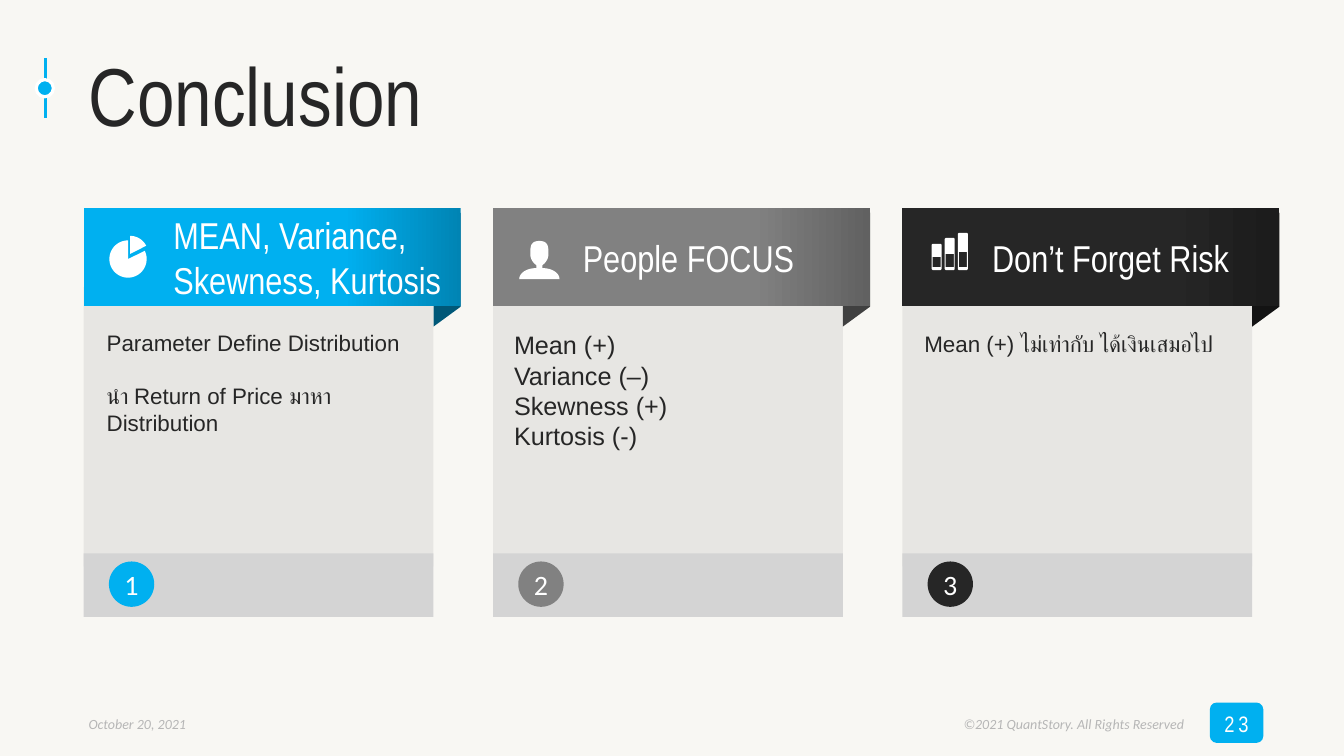
import math
from lxml import etree
from pptx import Presentation
from pptx.dml.color import RGBColor
from pptx.enum import shapes, text
from pptx.oxml import ns
from pptx.util import Inches, Pt

PAPER = RGBColor(0xF8, 0xF7, 0xF3)
WHITE = RGBColor(0xFF, 0xFF, 0xFF)
INK = RGBColor(0x26, 0x26, 0x26)
BLUE = RGBColor(0x00, 0xB0, 0xF0)
BLUE_SHADE = RGBColor(0x00, 0x84, 0xB4)
BLUE_FOLD = RGBColor(0x00, 0x58, 0x78)
GREY = RGBColor(0x81, 0x81, 0x81)
GREY_SHADE = RGBColor(0x61, 0x61, 0x61)
GREY_FOLD = RGBColor(0x40, 0x40, 0x40)
INK_SHADE = RGBColor(0x1C, 0x1C, 0x1C)
INK_FOLD = RGBColor(0x13, 0x13, 0x13)
PANEL = RGBColor(0xA6, 0xA6, 0xA6)
STRIP = RGBColor(0xD4, 0xD4, 0xD4)
FOOTER = RGBColor(0xB6, 0xB6, 0xB6)

SHAPE = shapes.MSO_SHAPE
LEFT, CENTER, RIGHT = text.PP_ALIGN.LEFT, text.PP_ALIGN.CENTER, text.PP_ALIGN.RIGHT
MIDDLE, TOP = text.MSO_ANCHOR.MIDDLE, text.MSO_ANCHOR.TOP
GROW, FIXED = text.MSO_AUTO_SIZE.SHAPE_TO_FIT_TEXT, text.MSO_AUTO_SIZE.NONE


def add_block(page, kind, box, colour):
    shape = page.shapes.add_shape(kind, *map(Inches, box))
    shape.shadow.inherit = False
    shape.fill.solid()
    shape.fill.fore_color.rgb = colour
    shape.line.fill.background()
    return shape


def write(shape, lines, name, size, colour, align=LEFT, anchor=TOP, insets=(0.1, 0.05, 0.1, 0.05),
          fit=FIXED, italic=False, gap=0):
    frame = shape.text_frame
    sides = ("margin_left", "margin_top", "margin_right", "margin_bottom")
    settings = dict(zip(sides, map(Inches, insets)), word_wrap=True, auto_size=fit, vertical_anchor=anchor)
    for key, value in settings.items():
        setattr(frame, key, value)
    for index, line in enumerate(lines):
        para = frame.add_paragraph() if index else frame.paragraphs[0]
        para.alignment = align
        para.space_before = Pt(gap if index else 0)
        span = para.add_run()
        span.text = line
        for key, value in {"name": name, "size": Pt(size), "italic": italic}.items():
            setattr(span.font, key, value)
        span.font.color.rgb = colour
    return span


def add_text(page, box, lines, *look, **options):
    shape = page.shapes.add_textbox(*map(Inches, box))
    return write(shape, lines, *look, fit=GROW, **options)


def add_outline(page, contours):
    start, *_ = contours[0]
    builder = page.shapes.build_freeform(*map(Inches, start))
    for index, contour in enumerate(contours):
        if index:
            builder.move_to(*map(Inches, contour[0]))
        builder.add_line_segments([tuple(map(Inches, point)) for point in contour[1:]], close=True)
    shape = builder.convert_to_shape()
    shape.shadow.inherit = False
    shape.fill.solid()
    shape.fill.fore_color.rgb = WHITE
    shape.line.fill.background()


def arc(x, y, radius, start, end, steps=48):
    angles = [math.radians(start + (end - start) * step / steps) for step in range(steps + 1)]
    return [(x + radius * math.cos(angle), y + radius * math.sin(angle)) for angle in angles]


def curve(*points, steps=12):
    weights = (1, 3, 3, 1)
    return [tuple(sum(weights[k] * (1 - t) ** (3 - k) * t ** k * points[k][axis] for k in range(4))
                  for axis in (0, 1))
            for t in (step / steps for step in range(steps + 1))]


def pie_icon(page, left, top):
    add_outline(page, [
        [(left + 0.19, top + 0.23)] + arc(left + 0.19, top + 0.23, 0.185, -26, 270),
        [(left + 0.21, top + 0.18)] + arc(left + 0.21, top + 0.18, 0.18, -90, -27)])


def person_icon(page, left, top):
    half = (curve((0, 0), (0.09, 0), (0.09, 0.06), (0.09, 0.13))
            + curve((0.09, 0.13), (0.09, 0.18), (0.06, 0.22), (0.03, 0.24))
            + curve((0.03, 0.27), (0.13, 0.27), (0.2, 0.32), (0.2, 0.38)))
    middle = left + 0.21
    add_outline(page, [[(middle + x, top + y) for x, y in half]
                       + [(middle - x, top + y) for x, y in reversed(half)]])


def bars_icon(page, left, top):
    contours = []
    bottom = top + 0.37
    for index, (rise, hollow) in enumerate([(0.11, 0.24), (0.05, 0.21), (0, 0.19)]):
        x0, y0 = left + 0.13 * index, top + rise
        x1 = x0 + 0.1
        contours.append([(x0 + 0.01, y0), (x1 - 0.01, y0), (x1, y0 + 0.01), (x1, bottom - 0.01),
                         (x1 - 0.01, bottom), (x0 + 0.01, bottom), (x0, bottom - 0.01), (x0, y0 + 0.01)])
        contours.append([(x0 + 0.01, top + hollow), (x0 + 0.01, bottom - 0.03),
                         (x1 - 0.01, bottom - 0.03), (x1 - 0.01, top + hollow)])
    add_outline(page, contours)


def build_heading(page, box):
    left, top, width, height = box
    x = left - 0.33
    stem = page.shapes.add_connector(shapes.MSO_CONNECTOR.STRAIGHT, *map(Inches, (x, 0.58, x, 1.17)))
    etree.SubElement(stem._element.spPr, ns.qn("a:effectLst"))
    stem.line.color.rgb = BLUE
    stem.line.width = Pt(2.25)
    dot = add_block(page, SHAPE.OVAL, (x - 0.09, 0.79, 0.17, 0.17), BLUE)
    dot.line.color.rgb = WHITE
    dot.line.width = Pt(2.25)
    title = page.shapes.title
    for key, value in zip(("left", "top", "width", "height"), box):
        setattr(title, key, Inches(value))
    write(title, ["Conclusion"], "Arial Narrow", 58.7, INK, anchor=MIDDLE)


def build_card(page, box, number, card):
    left, top, width, height = box
    main, shade, fold_colour = card["colours"]
    panel = add_block(page, SHAPE.RECTANGLE, (left, top + 0.79, width, 2.77), PANEL)
    tint = panel._element.spPr.find(".//" + ns.qn("a:srgbClr"))
    etree.SubElement(tint, ns.qn("a:alpha"), val="20000")

    fold = add_block(page, SHAPE.PARALLELOGRAM, (left + 3.04, top + 0.48, 1.13, 0.27), fold_colour)
    fold.adjustments[0] = 0.731
    fold.rotation = 90
    fold._element.spPr.xfrm.set("flipV", "1")

    banner = add_block(page, SHAPE.RECTANGLE, (left, top, width + 0.27, 0.98), main)
    banner.fill.gradient()
    banner.fill.gradient_angle = 180
    for stop, place, colour in zip(banner.fill.gradient_stops, (0, 0.31), (shade, main)):
        stop.position = place
        stop.color.rgb = colour
    write(banner, [card["heading"]], "Arial Narrow", 26.7, WHITE, anchor=MIDDLE,
          insets=(0.89, 0.05, 0.1, 0.05))
    icon, across, down = card["icon"]
    icon(page, left + across, top + down)

    indent, text_width, text_height = card["text_box"]
    add_text(page, (left + indent, top + 1.21, text_width, text_height), card["lines"],
             "Arial", card["size"], INK, insets=(0.1, 0, 0.1, 0.05), gap=card["gap"])

    add_block(page, SHAPE.RECTANGLE, (left, top + height - 0.63, width, 0.63), STRIP)
    badge = add_block(page, SHAPE.OVAL, (left + 0.25, top + 3.51, 0.45, 0.45), main)
    write(badge, [str(number)], "Calibri", 20, WHITE, CENTER, MIDDLE, insets=(0, 0, 0, 0))


def build_footer(page, box):
    left, top, width, height = box
    look = ("Calibri", 10, FOOTER)
    add_text(page, (left, top + 0.08, 3.11, 0.27), ["October 20, 2021"], *look, italic=True)
    add_text(page, (left + 5.28, top + 0.08, 5.78, 0.27), ["©2021 QuantStory. All Rights Reserved"],
             *look, align=RIGHT, italic=True)
    badge = add_block(page, SHAPE.ROUNDED_RECTANGLE, (left + width - 0.53, top, 0.53, height), BLUE)
    span = write(badge, ["23"], "Arial Narrow", 16, WHITE, CENTER, MIDDLE, insets=(0, 0.02, 0, 0))
    span.font._element.set("spc", "270")


CARDS = [
    dict(heading="MEAN, Variance, Skewness, Kurtosis", colours=(BLUE, BLUE_SHADE, BLUE_FOLD),
         icon=(pie_icon, 0.25, 0.28), text_box=(0.13, 3.2, 0.86), size=16, gap=18.5,
         lines=["Parameter Define Distribution", "นำ Return of Price มาหา Distribution"]),
    dict(heading="People FOCUS", colours=(GREY, GREY_SHADE, GREY_FOLD),
         icon=(person_icon, 0.25, 0.33), text_box=(0.11, 2.77, 1.26), size=18, gap=0,
         lines=["Mean (+)", "Variance (–)", "Skewness (+)", "Kurtosis (-)"]),
    dict(heading="Don’t Forget Risk", colours=(INK, INK_SHADE, INK_FOLD),
         icon=(bars_icon, 0.29, 0.25), text_box=(0.12, 3.2, 0.32), size=16, gap=0,
         lines=["Mean (+) ไม่เท่ากับ ได้เงินเสมอไป"]),
]


def main():
    deck = Presentation()
    deck.slide_width, deck.slide_height = Inches(13.33), Inches(7.5)
    page = deck.slides.add_slide(deck.slide_layouts[5])
    page.background.fill.solid()
    page.background.fill.fore_color.rgb = PAPER
    build_heading(page, (0.78, 0.3, 11.89, 1.25))
    for index, card in enumerate(CARDS):
        build_card(page, (0.83 + 4.06 * index, 2.06, 3.47, 4.06), index + 1, card)
    build_footer(page, (0.78, 6.97, 11.75, 0.4))
    deck.save("out.pptx")


if __name__ == "__main__":
    main()
